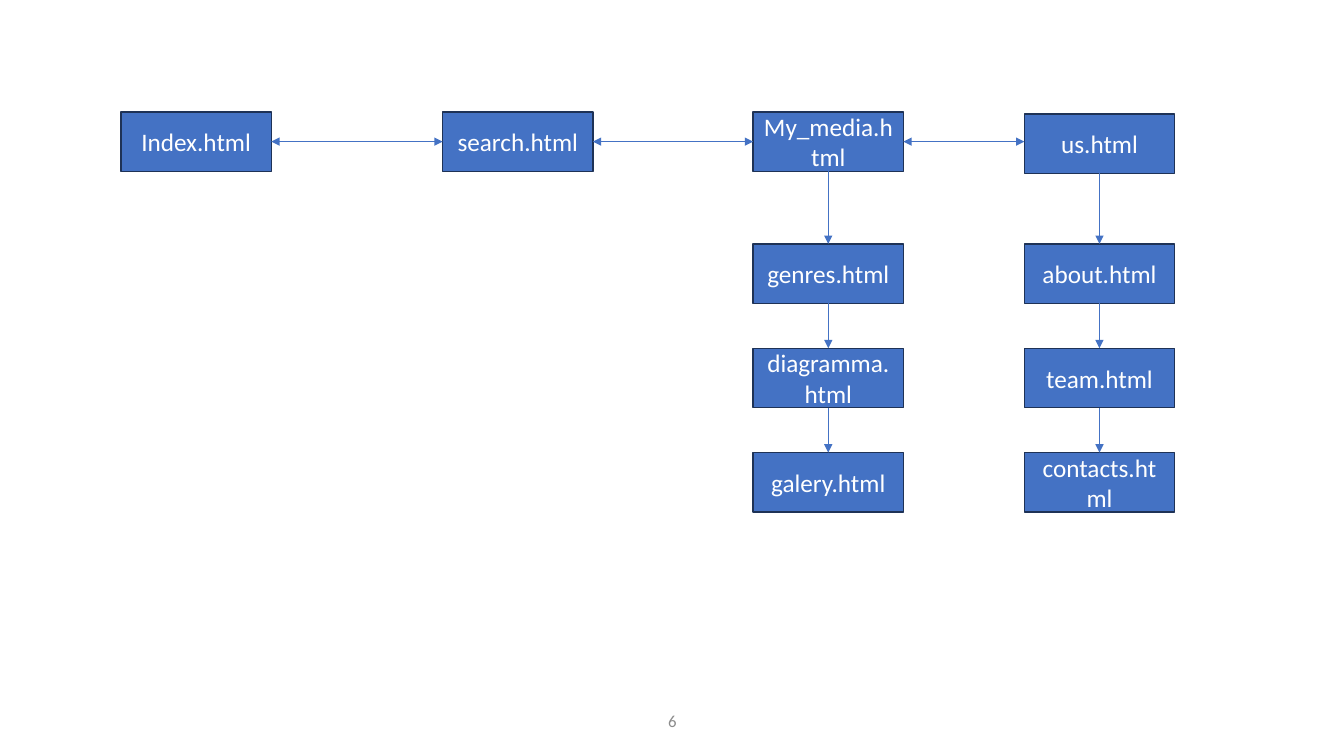
"""Build a site map slide of linked HTML pages."""
from itertools import pairwise

from lxml import etree
from pptx import Presentation
from pptx.dml.color import RGBColor
from pptx.enum.shapes import MSO_CONNECTOR, MSO_SHAPE
from pptx.enum.text import MSO_ANCHOR, PP_ALIGN
from pptx.oxml.ns import qn
from pptx.util import Inches, Pt

RECTANGLE = MSO_SHAPE.RECTANGLE
STRAIGHT = MSO_CONNECTOR.STRAIGHT
MIDDLE = MSO_ANCHOR.MIDDLE
CENTER = PP_ALIGN.CENTER
TOP, LEFT, BOTTOM, RIGHT = range(4)

COLUMNS = [
    (1.2, 1.11, ["Index.html"]),
    (4.39, 1.11, ["search.html"]),
    (7.47, 1.11, ["My_media.html", "genres.html", "diagramma.html", "galery.html"]),
    (10.16, 1.13, ["us.html", "about.html", "team.html", "contacts.html"]),
]
SLIDE_NUMBER = "6"
BOX_WIDTH, BOX_HEIGHT = 1.49, 0.59
FIRST_CHILD_TOP, CHILD_PITCH = 2.42, 1.035
BLUE, NAVY, WHITE, GRAY = "4472C4", "1E3256", "FFFFFF", "8C8C8C"


def color(value):
    """Turn a hex string into a colour."""
    return RGBColor.from_string(value)


def write(shape, text, size=18, fill=WHITE):
    """Put centred text into a shape."""
    frame = shape.text_frame
    frame.word_wrap = True
    frame.vertical_anchor = MIDDLE
    paragraph = frame.paragraphs[0]
    paragraph.alignment = CENTER
    run = paragraph.add_run()
    run.text = text
    run.font.name = "Calibri"
    run.font.size = Pt(size)
    run.font.color.rgb = color(fill)


def add_page(slide, name, left, top):
    """Draw one page box."""
    box = slide.shapes.add_shape(
        RECTANGLE, Inches(left), Inches(top), Inches(BOX_WIDTH), Inches(BOX_HEIGHT))
    box.shadow.inherit = False
    box.fill.solid()
    box.fill.fore_color.rgb = color(BLUE)
    box.line.color.rgb = color(NAVY)
    box.line.width = Pt(1)
    write(box, name)
    return box


def add_arrow(slide, start, end, sides, ends):
    """Join two boxes with an arrow, keeping it level between uneven tops."""
    arrow = slide.shapes.add_connector(STRAIGHT, 0, 0, 0, 0)
    arrow.begin_connect(start, sides[0])
    if sides[0] == BOTTOM or start.top == end.top:
        arrow.end_connect(end, sides[1])
    else:
        arrow.end_x, arrow.end_y = end.left, arrow.begin_y
    arrow.line.color.rgb = color(BLUE)
    arrow.line.width = Pt(0.5)
    line = arrow.line._get_or_add_ln()
    for tag in ends:
        etree.SubElement(line, qn(tag), type="triangle")
    etree.SubElement(arrow._element.spPr, qn("a:effectLst"))


def main():
    """Build and save the slide."""
    presentation = Presentation()
    presentation.slide_width = Inches(13.33)
    presentation.slide_height = Inches(7.5)
    slide = presentation.slides.add_slide(presentation.slide_layouts[6])

    number = slide.shapes.add_textbox(Inches(4.42), Inches(6.95), Inches(4.5), Inches(0.4))
    write(number, SLIDE_NUMBER, size=12, fill=GRAY)

    heads = []
    for left, top, names in COLUMNS:
        tops = [top] + [FIRST_CHILD_TOP + CHILD_PITCH * row for row in range(len(names) - 1)]
        boxes = [add_page(slide, name, left, y) for name, y in zip(names, tops)]
        heads.append(boxes[0])
        for upper, lower in pairwise(boxes):
            add_arrow(slide, upper, lower, (BOTTOM, TOP), ["a:tailEnd"])
    for before, after in pairwise(heads):
        add_arrow(slide, before, after, (RIGHT, LEFT), ["a:headEnd", "a:tailEnd"])

    presentation.save("out.pptx")


if __name__ == "__main__":
    main()
